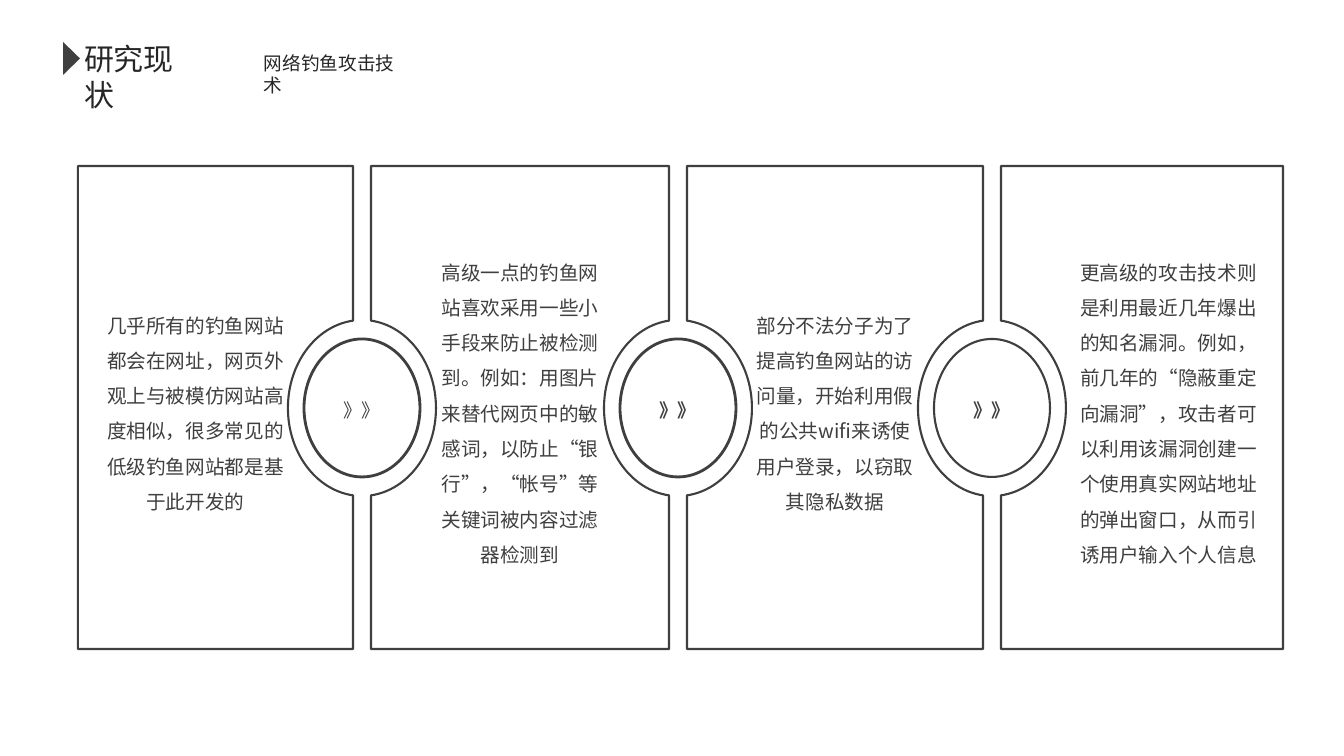
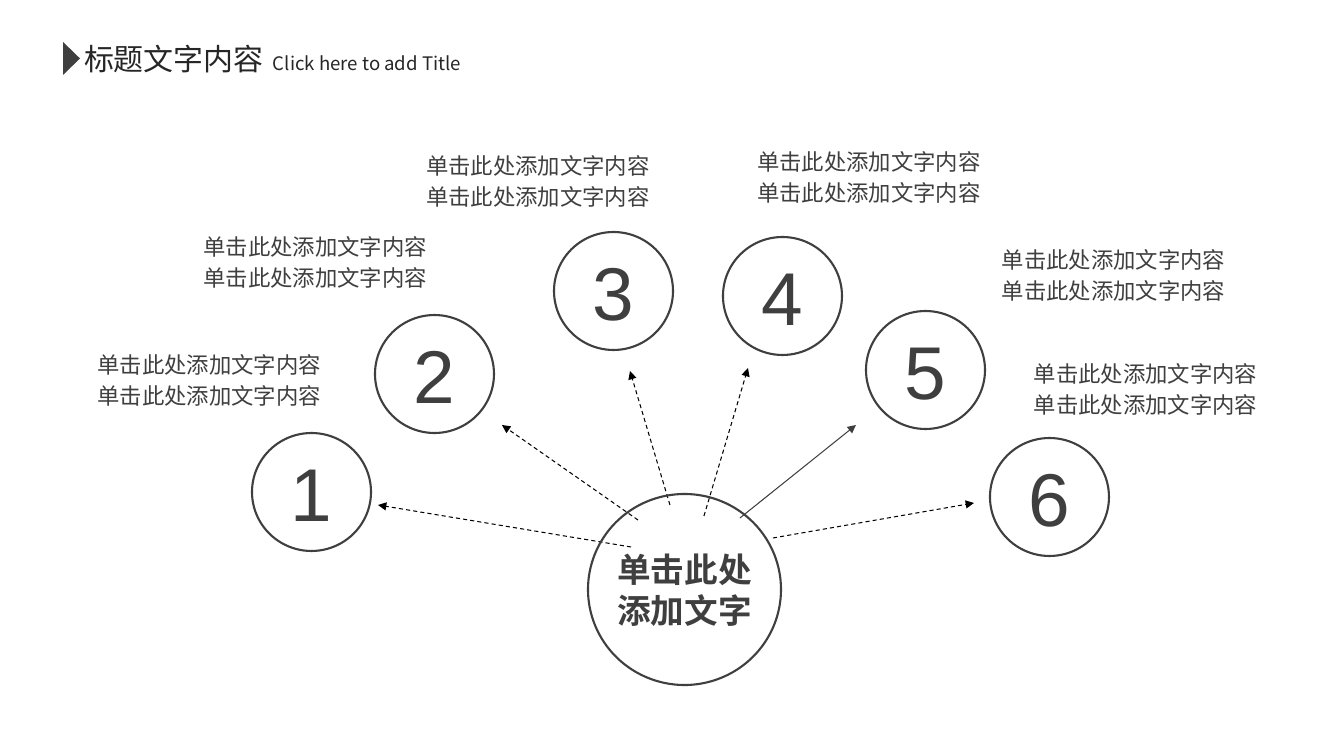
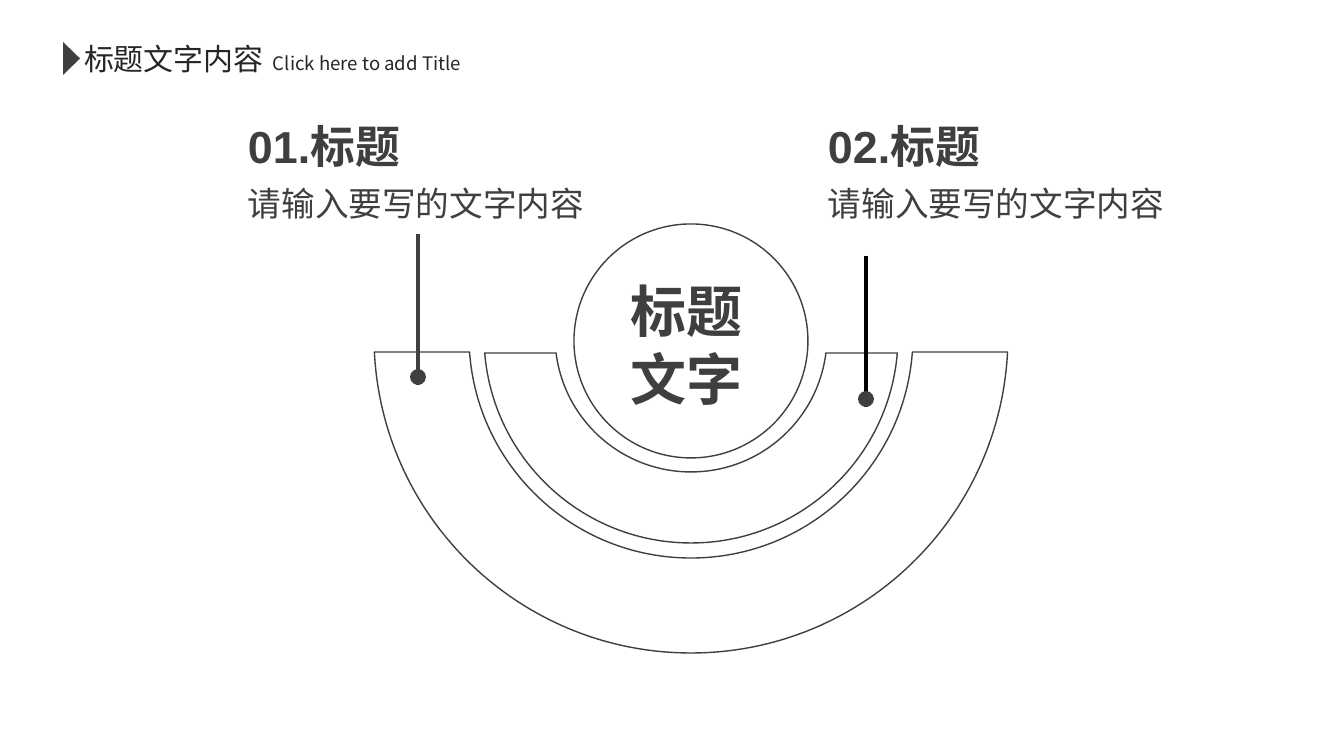
"""Build three outline-style slides: panels, a fan of circles and nested rings."""
import math
import pptx
import pptx.util
import pptx.dml.color
import pptx.enum.dml
import pptx.enum.shapes
import pptx.enum.text
import pptx.oxml.ns
import lxml.etree

WIDE, TALL = 1344, 756
PX = 914400 / 100.8
GREY, INK, BLACK, WHITE = "3F3F3F", "262626", "000000", "FFFFFF"
NOTO, ARIAL = "Noto Sans CJK SC", "Arial"
KIND = pptx.enum.shapes.MSO_SHAPE
ALIGN = pptx.enum.text.PP_ALIGN
ANCHOR = pptx.enum.text.MSO_ANCHOR

HEADS = [
    ("研究现状", 138, "网络钓鱼攻击技术", 254, 165),
    ("标题文字内容", 204, "Click here to add Title", 263, 230),
    ("标题文字内容", 204, "Click here to add Title", 263, 230),
]

TOP, BASE, MID = 166, 649, 408
GAP = 9
NOTCH = (74, 88)
DISC = (58, 69)
PANELS = [
    "几乎所有的钓鱼网站都会在网址，网页外观上与被模仿网站高度相似，很多常见的低级钓鱼网站都是基于此开发的",
    "高级一点的钓鱼网站喜欢采用一些小手段来防止被检测到。例如：用图片来替代网页中的敏感词，以防止“银行”，“帐号”等关键词被内容过滤器检测到",
    "部分不法分子为了提高钓鱼网站的访问量，开始利用假的公共wifi来诱使用户登录，以窃取其隐私数据",
    "更高级的攻击技术则是利用最近几年爆出的知名漏洞。例如，前几年的“隐蔽重定向漏洞”，攻击者可以利用该漏洞创建一个使用真实网站地址的弹出窗口，从而引诱用户输入个人信息",
]
PADS = [(26, 66), (66, 66), (66, 66), (79, 26)]
LEFT, RIGHT = 78, 1283
JOINTS = [(362, 2, False), (678, 2, True), (992, 1.5, True)]

NOTE = "单击此处添加文字内容"
FAN = [
    ((252, 433), (69, 346), ALIGN.RIGHT, (631, 547, 378, 505)),
    ((375, 315), (175, 228), ALIGN.RIGHT, (638, 520, 502, 425)),
    ((554, 232), (407, 147), ALIGN.CENTER, (670, 505, 630, 371)),
    ((723, 237), (738, 143), ALIGN.CENTER, (704, 516, 748, 368)),
    ((866, 311), (992, 241), ALIGN.LEFT, (740, 518, 856, 425)),
    ((990, 438), (1024, 355), ALIGN.LEFT, (773, 538, 974, 503)),
]
SOLID = 5

HUB = (691, 336)
RINGS = [(317, 222, 352), (207, 136, 353)]
ITEMS = [
    ("01.标题", 238, 418, 234, GREY),
    ("02.标题", 818, 866, 256, BLACK),
]


def emu(num):
    return pptx.util.Emu(round(num * PX))


def rgb(code):
    return pptx.dml.color.RGBColor.from_string(code)


def write(shape, lines, size, font=NOTO, color=GREY, bold=False, align=ALIGN.LEFT,
          anchor=ANCHOR.TOP, pads=(10, 5, 10, 5), wrap=True, space=None, gap=0):
    frame = shape.text_frame
    frame.auto_size = pptx.enum.text.MSO_AUTO_SIZE.NONE
    frame.word_wrap = wrap
    frame.vertical_anchor = anchor
    (frame.margin_left, frame.margin_top,
     frame.margin_right, frame.margin_bottom) = map(emu, pads)
    for num, line in enumerate(lines):
        para = frame.add_paragraph() if num else frame.paragraphs[0]
        para.alignment = align
        if space:
            para.line_spacing = space
        if num and gap:
            para.space_before = pptx.util.Pt(gap)
        run = para.add_run()
        run.text = line
        run.font.size = pptx.util.Pt(size)
        run.font.bold = bold
        run.font.color.rgb = rgb(color)
        run.font.name = font
        props = run._r.get_or_add_rPr()
        props.set("lang", "zh-CN")
        lxml.etree.SubElement(props, pptx.oxml.ns.qn("a:ea"), typeface=NOTO)


def paint(shape, fill=None, line=None):
    shape.shadow.inherit = False
    if fill:
        shape.fill.solid()
        shape.fill.fore_color.rgb = rgb(fill)
    else:
        shape.fill.background()
    if line:
        shape.line.color.rgb = rgb(GREY)
        shape.line.width = pptx.util.Pt(line)
    else:
        shape.line.fill.background()
    return shape


def draw(slide, kind, at, **look):
    return paint(slide.shapes.add_shape(kind, *map(emu, at)), **look)


def label(slide, at, lines, size, **form):
    write(slide.shapes.add_textbox(*map(emu, at)), lines, size, **form)


def trace(slide, steps, line):
    dots = [(emu(x), emu(y)) for step in steps for x, y in step]
    pen = slide.shapes.build_freeform(*dots[0], scale=1.0)
    pen.add_line_segments(dots[1:], close=True)
    shape = pen.convert_to_shape()
    legs = iter(list(shape._element.iter(pptx.oxml.ns.qn("a:lnTo"))))
    for step in steps[1:]:
        group = [next(legs) for dot in step]
        if len(group) == 3:
            curve = lxml.etree.Element(pptx.oxml.ns.qn("a:cubicBezTo"))
            group[0].addprevious(curve)
            for leg in group:
                curve.append(leg[0])
                leg.getparent().remove(leg)
    return paint(shape, line=line)


def link(slide, ends, color, width, dash=False, head=False):
    wire = slide.shapes.add_connector(
        pptx.enum.shapes.MSO_CONNECTOR.STRAIGHT, *map(emu, ends))
    wire.line.color.rgb = rgb(color)
    wire.line.width = pptx.util.Pt(width)
    if dash:
        wire.line.dash_style = pptx.enum.dml.MSO_LINE.DASH
    props = wire._element.spPr
    if head:
        lxml.etree.SubElement(props.find(pptx.oxml.ns.qn("a:ln")),
                              pptx.oxml.ns.qn("a:tailEnd"), type="triangle")
    lxml.etree.SubElement(props, pptx.oxml.ns.qn("a:effectLst"))


def arc(mid, radii, start, stop):
    def spot(turn, pull=0):
        cos, sin = math.cos(turn), math.sin(turn)
        return (mid[0] + radii[0] * (cos - pull * sin),
                mid[1] + radii[1] * (sin + pull * cos))

    half = (stop - start) / 2
    pull = math.tan(half / 4) * 4 / 3
    steps = [(spot(start),)]
    for turn in (start, start + half):
        steps.append((spot(turn, pull), spot(turn + half, -pull), spot(turn + half)))
    return steps


def start(deck, head):
    name, wide, sub, left, span = head
    slide = deck.slides.add_slide(deck.slide_layouts[5])
    title = slide.shapes.title
    back = draw(slide, KIND.RECTANGLE, (0, 0, WIDE, TALL), fill=WHITE)
    title._element.addprevious(back._element)
    title.left, title.top, title.width, title.height = map(emu, (74, 36, wide, 46))
    write(title, [name], 21.4, color=INK)
    draw(slide, KIND.ISOSCELES_TRIANGLE, (55, 50, 33, 17), fill=GREY).rotation = 90
    label(slide, (left, 47, span, 33), [sub], 13.3, color=INK)
    return slide


def panels(slide):
    mids = [joint[0] for joint in JOINTS]
    lefts = [LEFT] + [mid + GAP for mid in mids]
    rights = [mid - GAP for mid in mids] + [RIGHT]
    tilt = math.asin(GAP / NOTCH[0])
    low, high = math.pi / 2 + tilt, math.pi * 3 / 2 - tilt
    turn = math.pi / 2 - tilt
    for num, (text, pad) in enumerate(zip(PANELS, PADS)):
        left, right = lefts[num], rights[num]
        steps = [((left, TOP),), ((right, TOP),)]
        if num < len(mids):
            steps += arc((mids[num], MID), NOTCH, high, low)
        steps += [((right, BASE),), ((left, BASE),)]
        if num:
            steps += arc((mids[num - 1], MID), NOTCH, turn, -turn)
        write(trace(slide, steps, 1.5), [text], 14, align=ALIGN.CENTER,
              anchor=ANCHOR.MIDDLE, pads=(pad[0], 5, pad[1], 5), space=1.5)
    wide, tall = DISC
    for mid, line, bold in JOINTS:
        disc = draw(slide, KIND.OVAL, (mid - wide, MID - tall, 2 * wide, 2 * tall), line=line)
        write(disc, ["》》"], 13.3, bold=bold, align=ALIGN.CENTER,
              anchor=ANCHOR.MIDDLE, pads=(0, 0, 0, 0), space=1.2)


def fan(slide):
    form = dict(font=ARIAL, align=ALIGN.CENTER, anchor=ANCHOR.MIDDLE, wrap=False)
    for num, (spot, note, align, ends) in enumerate(FAN, 1):
        solid = num == SOLID
        link(slide, ends, GREY if solid else BLACK, 0.75, dash=not solid, head=True)
        write(draw(slide, KIND.OVAL, (*spot, 119, 118), line=1.5), [str(num)], 53.4, **form)
        label(slide, (*note, 262, 70), [NOTE] * 2, 16, align=align, gap=3.2)
    hub = draw(slide, KIND.OVAL, (588, 494, 193, 191), line=1.5)
    write(hub, ["单击此处", "添加文字"], 24, bold=True, **form)


def rings(slide):
    for outer, inner, top in RINGS:
        far, near = (math.asin((top - HUB[1]) / r) for r in (outer, inner))
        steps = arc(HUB, (outer, outer), far, math.pi - far)
        steps += arc(HUB, (inner, inner), math.pi - near, near)
        trace(slide, steps, 1)
    draw(slide, KIND.OVAL, (574, 224, 234, 234), line=1)
    label(slide, (621, 272, 188, 146), ["标题", "文字"], 40, font=ARIAL, bold=True)
    for head, left, pin, top, color in ITEMS:
        link(slide, (pin, top, pin, top + 151), color, 2.25)
        draw(slide, KIND.OVAL, (pin - 8, top + 135, 16, 16), fill=GREY)
        label(slide, (left, 114, 415, 64), [head], 32, font=ARIAL, bold=True)
        label(slide, (left, 178, 415, 50), ["请输入要写的文字内容"], 24, font=ARIAL)


def main():
    deck = pptx.Presentation()
    deck.slide_width, deck.slide_height = emu(WIDE), emu(TALL)
    for head, build in zip(HEADS, (panels, fan, rings)):
        build(start(deck, head))
    deck.save("out.pptx")


if __name__ == "__main__":
    main()
